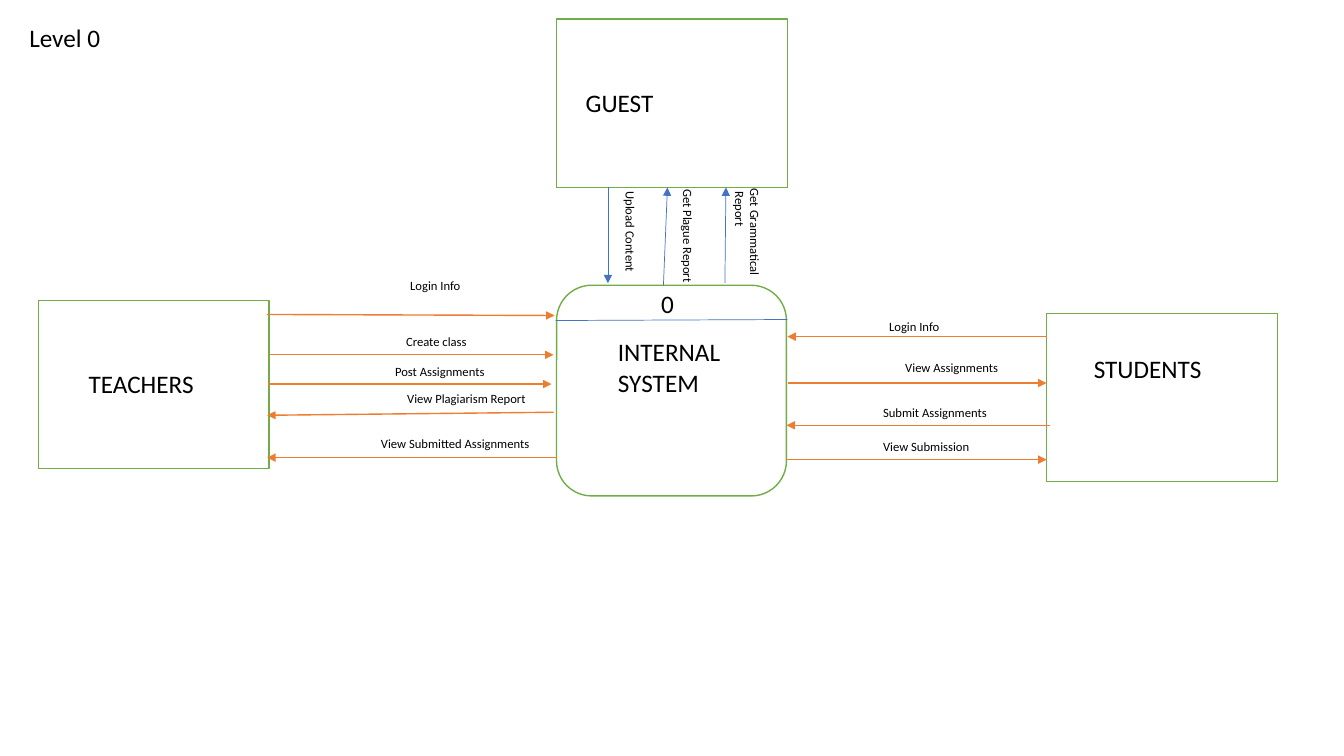
from lxml import etree
from pptx import Presentation
from pptx.dml.color import RGBColor
from pptx.enum.shapes import MSO_CONNECTOR, MSO_SHAPE
from pptx.enum.text import MSO_ANCHOR, MSO_AUTO_SIZE, PP_ALIGN
from pptx.oxml.ns import qn
from pptx.util import Inches, Pt

RECT, ROUND = MSO_SHAPE.RECTANGLE, MSO_SHAPE.ROUNDED_RECTANGLE
LINE = MSO_CONNECTOR.STRAIGHT
TOP, LEFT, FIT = MSO_ANCHOR.TOP, PP_ALIGN.LEFT, MSO_AUTO_SIZE.NONE
FONT = "Calibri"
GREEN, ORANGE, BLUE = "70AD47", "ED7D31", "4472C4"
BLACK, WHITE = "000000", "FFFFFF"

# Boxes: left, top, width, height
TITLE = (0.19, 0.17, 1.72, 0.4)
GUEST = (5.52, 0.19, 2.29, 1.67)
TEACH = (0.38, 2.98, 2.29, 1.67)
STUD = (10.38, 3.11, 2.29, 1.67)
CORE = (5.52, 2.83, 2.28, 2.09)

# Gaps between the boxes, which hold the flows
WEST = (2.67, 2.98, 2.85, 1.67)
EAST = (7.8, 3.11, 2.58, 1.67)
NORTH = (5.52, 1.86, 2.29, 0.97)

# Flows: arrow start, arrow end, label, label place and width
LOGIN = "Login Info"
WEST_ROWS = [
    ((-0.02, 0.14), (2.83, 0.15), LOGIN, (1.3, -0.27), 1.05),
    ((0.01, 0.54), (2.82, 0.54), "Create class", (1.26, 0.28), 1.33),
    ((-0.01, 0.83), (2.8, 0.83), "Post Assignments", (1.15, 0.58), 1.33),
    ((2.82, 1.11), (-0.02, 1.14), "View Plagiarism Report", (1.27, 0.85), 1.4),
    ((2.85, 1.56), (-0.02, 1.56), "View Submitted Assignments", (1.01, 1.29), 1.8),
]
EAST_ROWS = [
    ((2.58, 0.23), (0.01, 0.23), LOGIN, (0.92, 0), 1.4),
    ((0.02, 0.69), (2.58, 0.69), "View Assignments", (1.08, 0.41), 1.29),
    ((2.61, 1.11), (0, 1.11), "Submit Assignments", (0.86, 0.86), 1.4),
    ((0.01, 1.45), (2.58, 1.45), "View Submission", (0.86, 1.19), 1.29),
]
NORTH_ROWS = [
    ((0.51, 0), (0.51, 0.95), "Upload Content", (-0.36, 0.91), 2.19),
    ((1.06, 0.97), (1.1, 0), "Get Plague Report", (0.21, 0.89), 2.19),
    ((1.67, 0.95), (1.68, 0), "Get Grammatical\n Report", (0.8, 0.81), 2.19),
]


def color(code):
    return RGBColor.from_string(code)


def inch(box):
    return [Inches(v) for v in box]


def style(frame, size):
    frame.word_wrap = True
    frame.auto_size = FIT
    frame.vertical_anchor = TOP
    for para in frame.paragraphs:
        para.alignment = LEFT
        for run in para.runs:
            run.font.name = FONT
            run.font.size = Pt(size)
            run.font.color.rgb = color(BLACK)


def label(slide, box, text, size, turn=0):
    item = slide.shapes.add_textbox(*inch(box))
    item.rotation = turn
    item.text_frame.text = text
    style(item.text_frame, size)


def line(slide, start, end, code, width, head=True):
    item = slide.shapes.add_connector(LINE, *inch(start + end))
    item.line.color.rgb = color(code)
    item.line.width = Pt(width)
    if head:
        tail = etree.SubElement(item.line._get_or_add_ln(), qn("a:tailEnd"))
        tail.set("type", "triangle")
    etree.SubElement(item._element.spPr, qn("a:effectLst"))


def node(slide, box, kind, text, place):
    """Draw an outlined box; place is the label's box from its corner."""
    item = slide.shapes.add_shape(kind, *inch(box))
    item.shadow.inherit = False
    item.fill.solid()
    item.fill.fore_color.rgb = color(WHITE)
    item.line.color.rgb = color(GREEN)
    item.line.width = Pt(1)
    x, y, w, h = place
    label(slide, (box[0] + x, box[1] + y, w, h), text, 18)


def system(slide, box):
    """Draw the central process with its number strip."""
    left, top, width, _ = box
    node(slide, box, ROUND, "INTERNAL SYSTEM", (0.51, 0.46, 1.91, 0.71))
    line(slide, (left - 0.01, top + 0.35), (left + width + 0.01, top + 0.34),
         BLUE, 0.5, head=False)
    label(slide, (left + 0.94, top - 0.02, 0.53, 0.4), "0", 18)


def flows(slide, box, rows, code, width, turn=0):
    """Draw labelled arrows, placed from the corner of the gap."""
    left, top = box[:2]
    for start, end, text, (x, y), wide in rows:
        line(slide, (left + start[0], top + start[1]),
             (left + end[0], top + end[1]), code, width)
        high = 0.4 if "\n" in text else 0.25
        label(slide, (left + x, top + y, wide, high), text, 9, turn)


def heading(slide, box, text):
    item = slide.shapes.title
    item.left, item.top, item.width, item.height = inch(box)
    item.text_frame.text = text
    style(item.text_frame, 18)


def main():
    deck = Presentation()
    deck.slide_width, deck.slide_height = Inches(13.33), Inches(7.5)
    slide = deck.slides.add_slide(deck.slide_layouts[5])
    heading(slide, TITLE, "Level 0")

    # Process and the people around it
    system(slide, CORE)
    node(slide, GUEST, RECT, "GUEST", (0.19, 0.63, 1.91, 0.4))
    node(slide, TEACH, RECT, "TEACHERS", (0.4, 0.63, 1.85, 0.4))
    node(slide, STUD, RECT, "STUDENTS", (0.37, 0.35, 1.91, 0.4))

    # Data flows
    flows(slide, WEST, WEST_ROWS, ORANGE, 1)
    flows(slide, EAST, EAST_ROWS, ORANGE, 1)
    flows(slide, NORTH, NORTH_ROWS, BLUE, 0.5, turn=90)
    deck.save("out.pptx")


if __name__ == "__main__":
    main()
